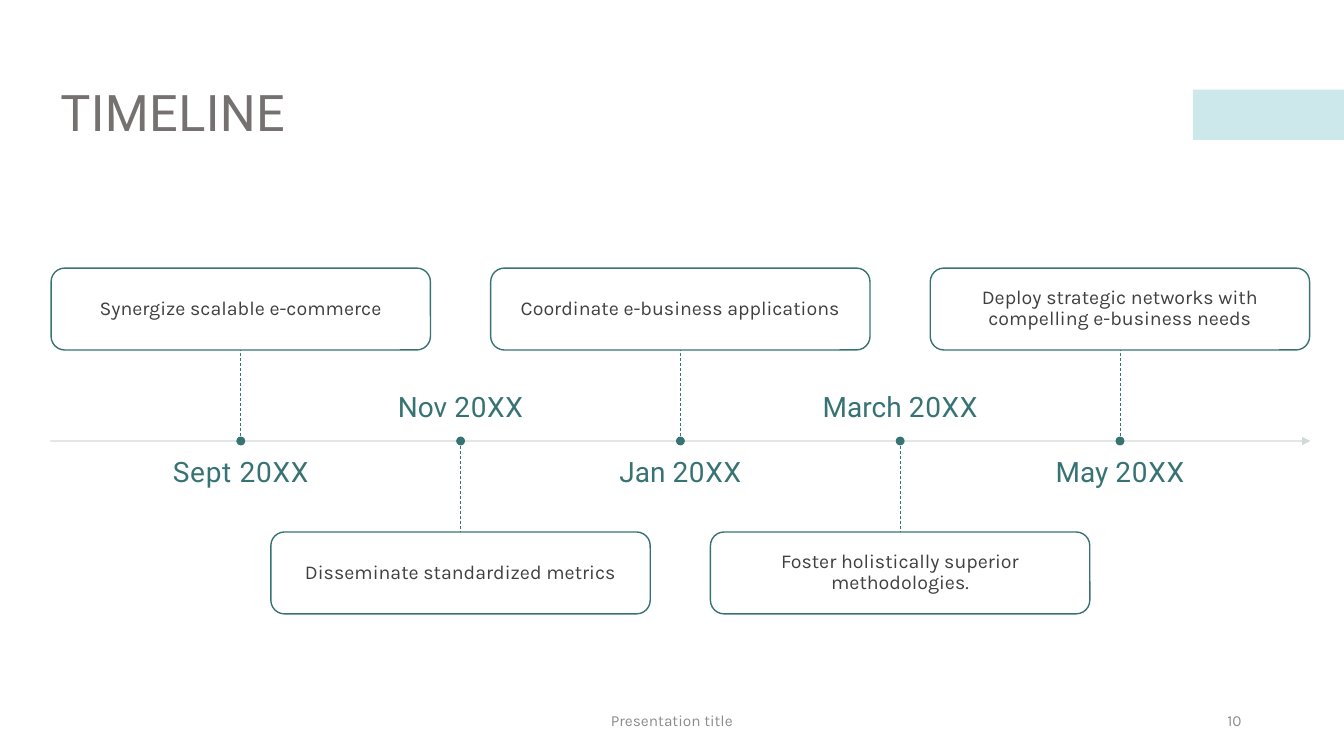
from pptx import Presentation
from pptx.dml.color import RGBColor
from pptx.enum import dml, shapes, text
from pptx.oxml import parse_xml
from pptx.oxml.ns import nsdecls, qn
from pptx.util import Pt

TEAL = RGBColor(0x38, 0x73, 0x73)
PALE_TEAL = RGBColor(0x9C, 0xD3, 0xD9)
AXIS_GREY = RGBColor(0xCE, 0xD5, 0xD5)
TITLE_GREY = RGBColor(0x76, 0x71, 0x71)
BODY_GREY = RGBColor(0x40, 0x40, 0x40)
FOOTER_GREY = RGBColor(0x8C, 0x8C, 0x8C)
WHITE = RGBColor(0xFF, 0xFF, 0xFF)

CENTER, LEFT, RIGHT = text.PP_ALIGN.CENTER, text.PP_ALIGN.LEFT, text.PP_ALIGN.RIGHT
TOP, MIDDLE, BOTTOM = (text.MSO_ANCHOR.TOP, text.MSO_ANCHOR.MIDDLE,
                       text.MSO_ANCHOR.BOTTOM)

# Month, letter spacing of the month, description
MILESTONES = [
    ("Sept ", 0.5, "Synergize scalable e-commerce"),
    ("Nov ", 0, "Disseminate standardized metrics"),
    ("Jan ", 0, "Coordinate e-business applications"),
    ("March ", 0, "Foster holistically superior methodologies."),
    ("May ", 0, "Deploy strategic networks with compelling e-business needs"),
]


def set_alpha(fill, percent):
    """Make a solid fill partly transparent."""
    color = fill._xPr.find(qn("a:solidFill"))[0]
    color.append(parse_xml(f'<a:alpha {nsdecls("a")} val="{percent * 1000}"/>'))


def write(shape, spans, font, size, color, align=CENTER, anchor=MIDDLE,
          inset=None, line_spacing=0.9):
    """Fill a shape with one paragraph of (words, letter spacing) spans."""
    frame = shape.text_frame
    frame.word_wrap = True
    frame.vertical_anchor = anchor
    if inset is not None:
        frame.margin_left = frame.margin_right = Pt(inset)
        frame.margin_top = frame.margin_bottom = Pt(inset)
    para = frame.paragraphs[0]
    para.alignment = align
    para.line_spacing = line_spacing
    for words, spacing in spans:
        span = para.add_run()
        span.text = words
        span.font.name = font
        span.font.size = Pt(size)
        span.font.color.rgb = color
        if spacing:
            span.font._element.set("spc", str(round(spacing * 100)))


def add_text(page, left, top, width, height, spans, *style, **options):
    box = page.shapes.add_textbox(Pt(left), Pt(top), Pt(width), Pt(height))
    write(box, spans, *style, **options)


def add_shape(page, kind, left, top, width, height, fill, line=None, alpha=100):
    shape = page.shapes.add_shape(kind, Pt(left), Pt(top), Pt(width), Pt(height))
    shape.shadow.inherit = False
    shape.fill.solid()
    shape.fill.fore_color.rgb = fill
    if alpha < 100:
        set_alpha(shape.fill, alpha)
    if line is None:
        shape.line.fill.background()
    else:
        shape.line.color.rgb = line
        shape.line.width = Pt(1)
    return shape


def add_line(page, x1, y1, x2, y2, color, width):
    line = page.shapes.add_connector(shapes.MSO_CONNECTOR.STRAIGHT,
                                     Pt(x1), Pt(y1), Pt(x2), Pt(y2))
    line.line.color.rgb = color
    line.line.width = Pt(width)
    line._element.spPr.append(parse_xml(f'<a:effectLst {nsdecls("a")}/>'))
    return line.line


def add_header(page, left, top, width, height):
    # Accent bar at the right edge of the slide
    add_shape(page, shapes.MSO_SHAPE.RECTANGLE, left + width - 72, top + 34,
              108, 36, PALE_TEAL, alpha=50)
    add_text(page, left, top, width, height, [("TIMELINE", 0.3)],
             "Roboto", 36, TITLE_GREY, align=LEFT)


def add_milestone(page, center, axis, side, milestone):
    """Place one milestone; side is -1 for a card above the axis, 1 for below."""
    month, spacing, description = milestone
    card_width, card_height, stem = 271, 58.5, 65
    label_width, label_height, label_gap = 238, 39, 12.5
    dot = 5.3

    # Date on the side opposite the card
    label_top = axis + label_gap if side < 0 else axis - label_gap - label_height
    add_text(page, center - label_width / 2, label_top, label_width, label_height,
             [(month, spacing), ("20XX", 0.5)], "Roboto", 20, TEAL,
             anchor=TOP if side < 0 else BOTTOM, inset=0)

    # Card
    card_top = axis + stem if side > 0 else axis - stem - card_height
    card = add_shape(page, shapes.MSO_SHAPE.ROUNDED_RECTANGLE,
                     center - card_width / 2, card_top, card_width, card_height,
                     WHITE, TEAL, alpha=90)
    write(card, [(description, 0)], "Karla", 14, BODY_GREY, inset=10)

    # Stem and dot
    stem_line = add_line(page, center, axis, center, axis + side * stem, TEAL, 0.5)
    stem_line.dash_style = dml.MSO_LINE.DASH
    add_shape(page, shapes.MSO_SHAPE.OVAL, center - dot / 2, axis - dot / 2,
              dot, dot, TEAL, TEAL)


def add_timeline(page, left, top, width, height):
    axis = top + height / 2
    first, pitch = left + 136, 157

    # Axis with arrowhead
    line = add_line(page, left, axis, left + width, axis, AXIS_GREY, 1)
    set_alpha(line.fill, 90)
    line._ln.append(parse_xml(f'<a:tailEnd {nsdecls("a")} type="triangle"/>'))

    for index, milestone in enumerate(MILESTONES):
        side = 1 if index % 2 else -1
        add_milestone(page, first + index * pitch, axis, side, milestone)


def add_footer(page, left, top, width, height):
    style = ("Karla", 11, FOOTER_GREY)
    add_text(page, left, top, 324, height, [("Presentation title", 0)], *style,
             line_spacing=1)
    add_text(page, left + width - 216, top, 216, height, [("10", 0)], *style,
             align=RIGHT, line_spacing=1)


def main():
    deck = Presentation()
    deck.slide_width, deck.slide_height = Pt(960), Pt(540)
    page = deck.slides.add_slide(deck.slide_layouts[6])
    add_header(page, 36, 30, 888, 104.5)
    add_timeline(page, 36, 191.5, 900, 247)
    add_footer(page, 318, 500.5, 576, 28.5)
    deck.save("out.pptx")


if __name__ == "__main__":
    main()
